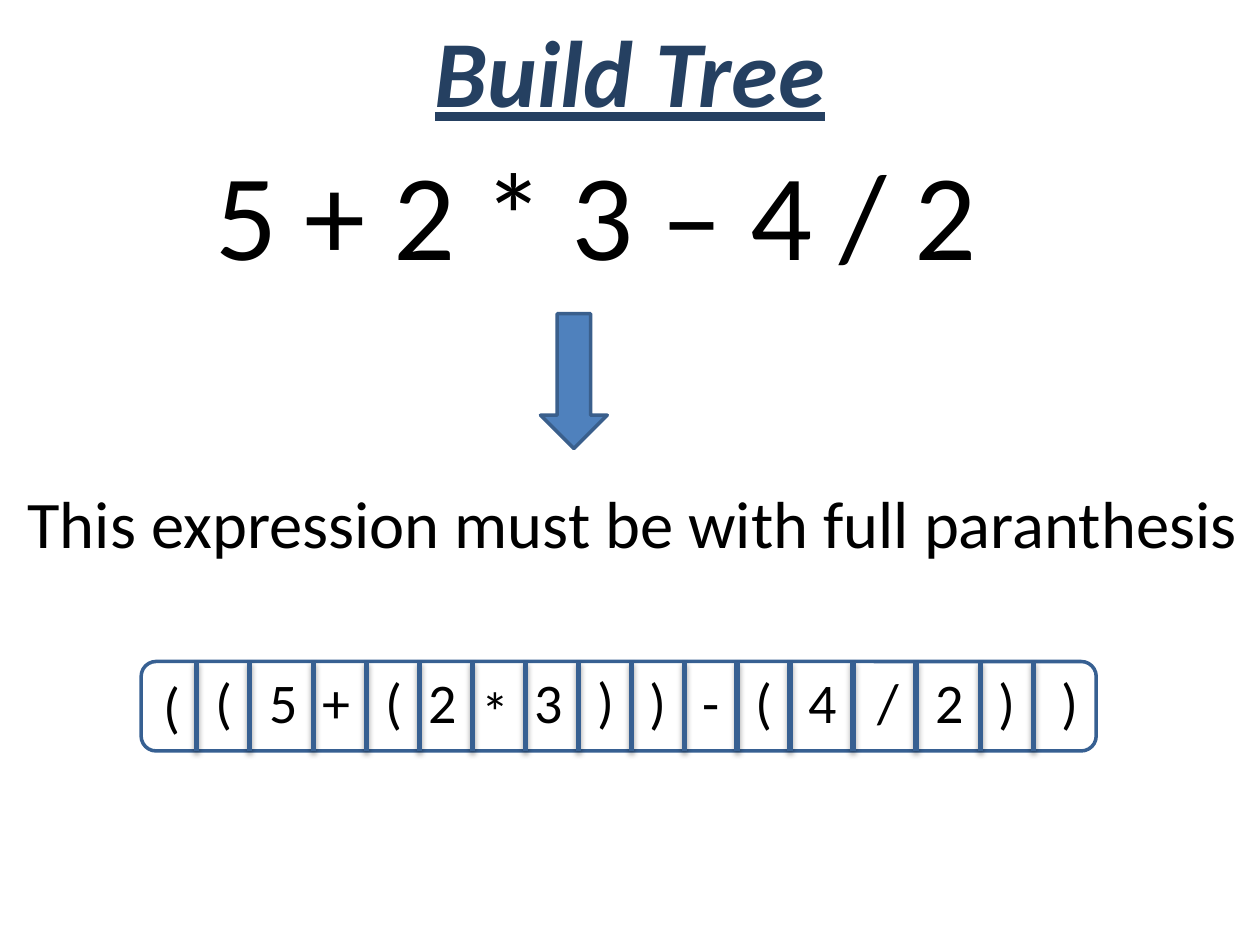
from dataclasses import dataclass
from lxml.etree import SubElement
from pptx import Presentation
from pptx.dml.color import RGBColor
from pptx.enum.shapes import MSO_CONNECTOR, MSO_SHAPE
from pptx.enum.text import MSO_ANCHOR, PP_ALIGN
from pptx.oxml.ns import qn
from pptx.util import Inches, Pt


@dataclass(frozen=True)
class Theme:
    font: str = "Calibri"
    black: str = "000000"
    navy: str = "254061"
    rule: str = "376092"
    blue: str = "4F81BD"
    edge: str = "3A5F8C"
    title: int = 54
    sum: int = 70
    note: int = 38
    token: int = 32


@dataclass(frozen=True)
class Cell:
    text: str
    width: float = 0.42
    shift: float = 0.05
    drop: float = 0


theme = Theme()
LEFT, TOP, HIGH = 1.12, 5.25, 0.71
CELLS = [
    Cell("(", 0.44, 0.08, 0.03), Cell("("), Cell("5", 0.51, 0.06),
    Cell("+", shift=-0.03), Cell("("), Cell("2", shift=-0.03),
    Cell("*", shift=-0.03, drop=0.07), Cell("3", shift=-0.03),
    Cell(")", drop=-0.01), Cell(")"), Cell("-"), Cell("("),
    Cell("4", 0.5), Cell("/", 0.5, 0.1), Cell("2", 0.51, 0.06),
    Cell(")"), Cell(")", 0.5, 0.13),
]

deck = Presentation()
deck.slide_width, deck.slide_height = Inches(10), Inches(7.5)
slide = deck.slides.add_slide(deck.slide_layouts[5])
shapes = slide.shapes


def style(frame, text: str, size: int, color: str):
    """Fill a text frame and return the font of its only run."""
    frame.text = text
    font = frame.paragraphs[0].runs[0].font
    font.name, font.size = theme.font, Pt(size)
    font.color.rgb = RGBColor.from_string(color)
    return font


def label(text: str, box: tuple, size: int, wrap: bool = True) -> None:
    frame = shapes.add_textbox(*map(Inches, box)).text_frame
    frame.word_wrap = wrap
    style(frame, text, size, theme.black)


def block(kind: MSO_SHAPE, box: tuple, line: str, fill: str = "") -> None:
    shape = shapes.add_shape(kind, *map(Inches, box))
    shape.shadow.inherit = False
    shape.line.color.rgb = RGBColor.from_string(line)
    shape.line.width = Pt(2)
    if fill:
        shape.fill.solid()
        shape.fill.fore_color.rgb = RGBColor.from_string(fill)
    else:
        shape.fill.background()


def divide(x: float) -> None:
    """Draw one upright divider with a soft shadow below it."""
    line = shapes.add_connector(
        MSO_CONNECTOR.STRAIGHT, *map(Inches, (x, TOP, x, TOP + HIGH)))
    line.line.color.rgb = RGBColor.from_string(theme.rule)
    line.line.width = Pt(3)
    effect = SubElement(line._element.spPr, qn("a:effectLst"))
    shade = SubElement(effect, qn("a:outerShdw"), blurRad=str(Pt(3.1)),
                       dist=str(Pt(1.8)), dir="5400000", rotWithShape="0")
    color = SubElement(shade, qn("a:srgbClr"), val=theme.black)
    SubElement(color, qn("a:alpha"), val="35000")


# Title
title = shapes.title
title.left, title.top, title.width, title.height = map(
    Inches, (3.33, 0.05, 3.34, 1.01))
title.text_frame.word_wrap = False
title.text_frame.vertical_anchor = MSO_ANCHOR.TOP
font = style(title.text_frame, "Build Tree", theme.title, theme.navy)
font.bold = font.italic = font.underline = True
title.text_frame.paragraphs[0].alignment = PP_ALIGN.CENTER

# Row of tokens
edges = [LEFT]
for cell in CELLS:
    x = edges[-1]
    label(cell.text, (x + cell.shift, TOP + cell.drop, 0.36, 0.64),
          theme.token, False)
    edges.append(x + cell.width)
block(MSO_SHAPE.ROUNDED_RECTANGLE, (LEFT, TOP, edges[-1] - LEFT, HIGH),
      theme.rule)
for x in edges[1:-1]:
    divide(x)

# Expression, arrow and remark
label("This expression must be with full paranthesis",
      (0.12, 3.78, 10.84, 0.74), theme.note)
block(MSO_SHAPE.DOWN_ARROW, (4.29, 2.49, 0.53, 1.07), theme.edge, theme.blue)
label("5 + 2 * 3 – 4 / 2", (1.61, 1.05, 8.9, 1.28), theme.sum)

deck.save("out.pptx")
